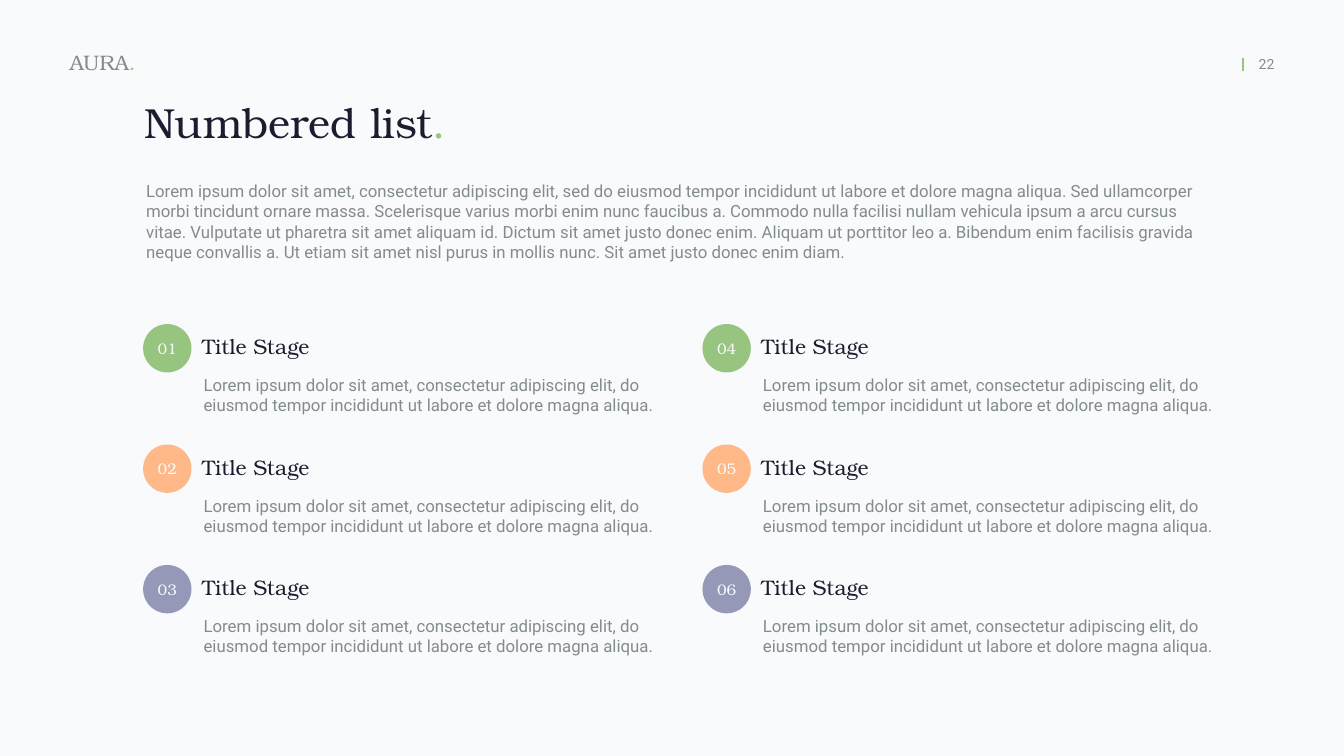
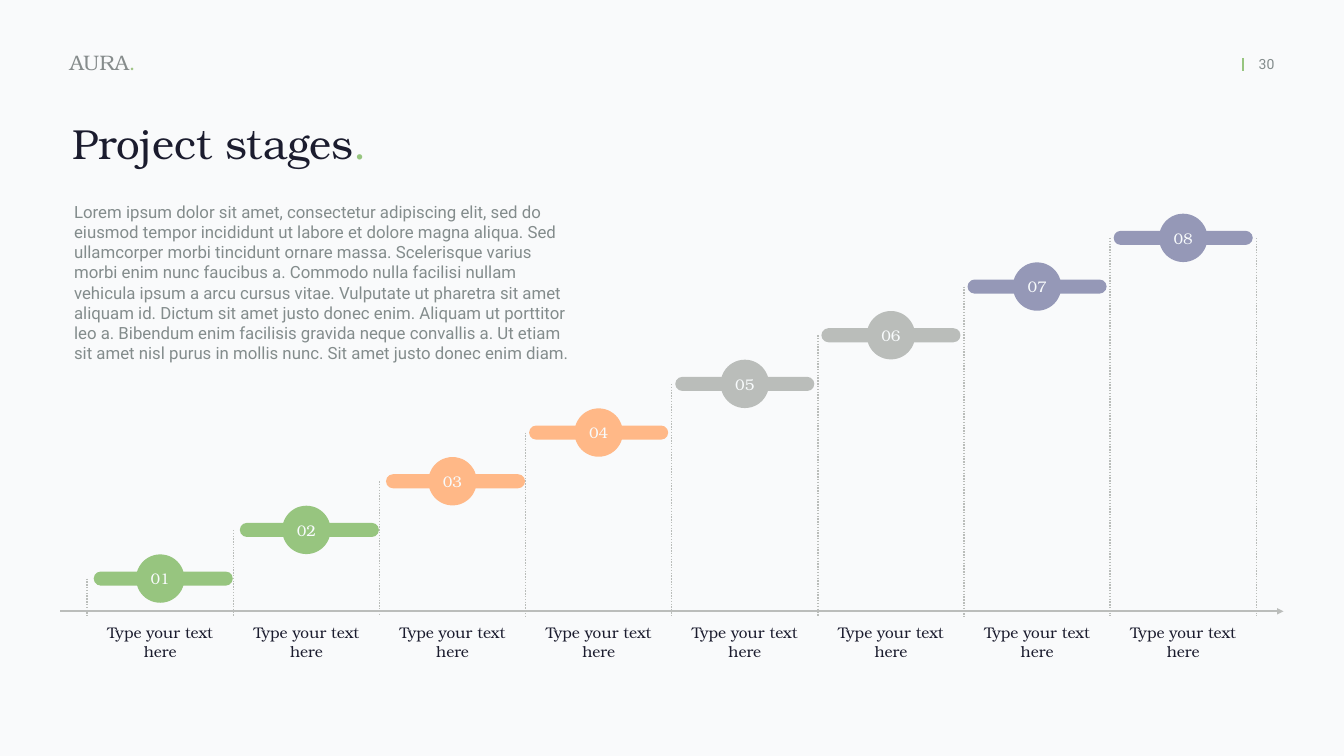
from lxml import etree
from pptx import Presentation
from pptx.dml.color import RGBColor
from pptx.enum.dml import MSO_LINE
from pptx.enum.shapes import MSO_CONNECTOR, MSO_SHAPE
from pptx.enum.text import MSO_ANCHOR, PP_ALIGN
from pptx.oxml.ns import qn
from pptx.util import Inches, Pt

# Enum members
LEFT, CENTER = PP_ALIGN.LEFT, PP_ALIGN.CENTER
TOP, MIDDLE = MSO_ANCHOR.TOP, MSO_ANCHOR.MIDDLE
OVAL, ROUNDED = MSO_SHAPE.OVAL, MSO_SHAPE.ROUNDED_RECTANGLE
STRAIGHT = MSO_CONNECTOR.STRAIGHT
DOTTED = MSO_LINE.ROUND_DOT

# Shared colours and fonts
BACKGROUND = RGBColor(0xF9, 0xFA, 0xFB)
INK = RGBColor(0x1B, 0x1C, 0x2E)
BODY_GRAY = RGBColor(0x83, 0x8C, 0x8C)
NAME_GRAY = RGBColor(0x86, 0x8C, 0x8C)
NAME_DOT = RGBColor(0xA1, 0xC5, 0x87)
NUMBER_WHITE = RGBColor(0xF8, 0xFB, 0xFC)
GREEN = RGBColor(0x97, 0xC5, 0x7F)
ORANGE = RGBColor(0xFF, 0xB8, 0x87)
GRAY = RGBColor(0xBA, 0xBD, 0xBA)
AXIS_GRAY = RGBColor(0xBB, 0xBD, 0xBB)
PURPLE = RGBColor(0x95, 0x98, 0xB7)
SERIF = "TeX Gyre Bonum"
SANS = "Roboto"

CIRCLE_SIZE = 0.96

INTRO = (
    "Lorem ipsum dolor sit amet, consectetur adipiscing elit, sed do eiusmod "
    "tempor incididunt ut labore et dolore magna aliqua. Sed ullamcorper morbi "
    "tincidunt ornare massa. Scelerisque varius morbi enim nunc faucibus a. "
    "Commodo nulla facilisi nullam vehicula ipsum a arcu cursus vitae. Vulputate "
    "ut pharetra sit amet aliquam id. Dictum sit amet justo donec enim. Aliquam "
    "ut porttitor leo a. Bibendum enim facilisis gravida neque convallis a. Ut "
    "etiam sit amet nisl purus in mollis nunc. Sit amet justo donec enim diam."
)
STAGE_DETAIL = (
    "Lorem ipsum dolor sit amet, consectetur adipiscing elit, do eiusmod tempor "
    "incididunt ut labore et dolore magna aliqua."
)


def write_text(shape, text, *, font=SANS, size=24, color=BODY_GRAY, align=LEFT,
               anchor=TOP, inset=0.06, dot_color=None):
    """Fill a shape with one paragraph, with an optional coloured full stop."""
    frame = shape.text_frame
    frame.word_wrap = True
    frame.vertical_anchor = anchor
    frame.margin_left = frame.margin_right = Inches(inset)
    frame.margin_top = frame.margin_bottom = Inches(inset)
    paragraph = frame.paragraphs[0]
    paragraph.alignment = align
    pieces = [(text, color)]
    if dot_color is not None:
        pieces.append((".", dot_color))
    for piece, piece_color in pieces:
        run = paragraph.add_run()
        run.text = piece
        run.font.name = font
        run.font.size = Pt(size)
        run.font.color.rgb = piece_color


def add_text(slide, left, top, width, height, text, **text_format):
    box = slide.shapes.add_textbox(
        Inches(left), Inches(top), Inches(width), Inches(height))
    write_text(box, text, **text_format)


def add_outline_text(group, left, top, width, height, text, **text_format):
    """Add text in an unfilled freeform panel inside a group."""
    right, bottom = left + width, top + height
    builder = group.shapes.build_freeform(Inches(left), Inches(top))
    builder.add_line_segments([
        (Inches(x), Inches(y))
        for x, y in ((right, top), (right, bottom), (left, bottom))])
    panel = builder.convert_to_shape()
    panel.shadow.inherit = False
    panel.fill.background()
    panel.line.fill.background()
    write_text(panel, text, **text_format)


def add_filled_shape(slide, kind, left, top, width, height, color):
    shape = slide.shapes.add_shape(
        kind, Inches(left), Inches(top), Inches(width), Inches(height))
    shape.shadow.inherit = False
    shape.fill.solid()
    shape.fill.fore_color.rgb = color
    shape.line.fill.background()
    return shape


def add_number_circle(slide, left, top, number, color):
    circle = add_filled_shape(
        slide, OVAL, left, top, CIRCLE_SIZE, CIRCLE_SIZE, color)
    write_text(circle, f"{number:02d}", font=SERIF, size=22, color=NUMBER_WHITE,
               align=CENTER, anchor=MIDDLE, inset=0)


def add_line(slide, start, end, color, width, dash=None, arrow=False):
    line = slide.shapes.add_connector(
        STRAIGHT, *(Inches(value) for value in (*start, *end)))
    line.line.color.rgb = color
    line.line.width = Pt(width)
    if dash is not None:
        line.line.dash_style = dash
    if arrow:
        etree.SubElement(line.line._get_or_add_ln(), qn("a:tailEnd"), type="triangle")
    etree.SubElement(line._element.spPr, qn("a:effectLst"))


def add_base_slide(presentation, page_number):
    """Add a blank slide with the background, name and page number."""
    slide = presentation.slides.add_slide(presentation.slide_layouts[6])
    slide.background.fill.solid()
    slide.background.fill.fore_color.rgb = BACKGROUND
    add_text(slide, 1.32, 0.9, 1.84, 0.65, "AURA", font=SERIF, size=30,
             color=NAME_GRAY, anchor=MIDDLE, dot_color=NAME_DOT)
    add_line(slide, (24.67, 1.15), (24.67, 1.4), GREEN, 3)
    add_text(slide, 24.5, 1.05, 1.27, 0.44, str(page_number), size=20,
             align=CENTER, inset=0.05)
    return slide


def add_title(slide, left, top, width, text):
    add_text(slide, left, top, width, 1.12, text, font=SERIF, size=60,
             color=INK, dot_color=GREEN)


def add_list_item(slide, left, top, number, color):
    group = slide.shapes.add_group_shape()
    add_outline_text(group, left + 1.14, top + 0.95, 9.05, 1.32, STAGE_DETAIL)
    add_outline_text(group, left + 1.11, top + 0.13, 2.74, 0.62, "Title Stage",
                     font=SERIF, size=30, color=INK)
    add_number_circle(slide, left, top, number, color)


def build_numbered_list(presentation):
    slide = add_base_slide(presentation, 22)
    add_text(slide, 2.84, 3.53, 21.09, 1.73, INTRO)
    add_title(slide, 2.81, 1.85, 6.75, "Numbered list")

    # Two columns of three items
    row_colors = (GREEN, ORANGE, PURPLE)
    for column, left in enumerate((2.84, 13.94)):
        for row, color in enumerate(row_colors):
            number = column * len(row_colors) + row + 1
            add_list_item(slide, left, 6.43 + 2.39 * row, number, color)


def build_project_stages(presentation):
    slide = add_base_slide(presentation, 30)
    stage_colors = (GREEN, GREEN, ORANGE, ORANGE, GRAY, GRAY, PURPLE, PURPLE)
    last = len(stage_colors) - 1
    pitch = 2.9
    bar_width, bar_height = 2.76, 0.28
    bottom_bar_top, top_bar_top = 11.34, 4.58
    rise = (bottom_bar_top - top_bar_top) / last
    bar_tops = [bottom_bar_top - rise * index for index in range(last + 1)]

    # Step bars; the upper ones sit closer to their left guides
    for index, (bar_top, color) in enumerate(zip(bar_tops, stage_colors)):
        first_left = 1.86 if index < 3 else 1.8
        bar = add_filled_shape(slide, ROUNDED, first_left + pitch * index,
                               bar_top, bar_width, bar_height, color)
        bar.adjustments[0] = 0.5

    # Dotted guides on both sides of every step, then the time axis
    for index, bar_top in enumerate(bar_tops + bar_tops[-1:]):
        guide_x = 1.73 + pitch * index
        add_line(slide, (guide_x, bar_top + bar_height / 2), (guide_x, 12.23),
                 GRAY, 2, dash=DOTTED)
    add_line(slide, (1.2, 12.13), (25.47, 12.13), AXIS_GRAY, 3, arrow=True)

    # Captions and numbers
    for index, (bar_top, color) in enumerate(zip(bar_tops, stage_colors)):
        add_text(slide, 1.72 + pitch * index, 12.31, 2.92, 0.85,
                 "Type your text here", font=SERIF, size=22, color=INK,
                 align=CENTER)
        circle_top = bar_top + (bar_height - CIRCLE_SIZE) / 2
        add_number_circle(slide, 2.7 + pitch * index, circle_top, index + 1, color)

    # Heading and introduction
    add_text(slide, 1.41, 3.94, 10, 3.34, INTRO)
    add_title(slide, 1.37, 2.27, 7.5, "Project stages")


def main():
    presentation = Presentation()
    presentation.slide_width = Inches(26.67)
    presentation.slide_height = Inches(15)
    build_numbered_list(presentation)
    build_project_stages(presentation)
    presentation.save("out.pptx")


if __name__ == "__main__":
    main()
